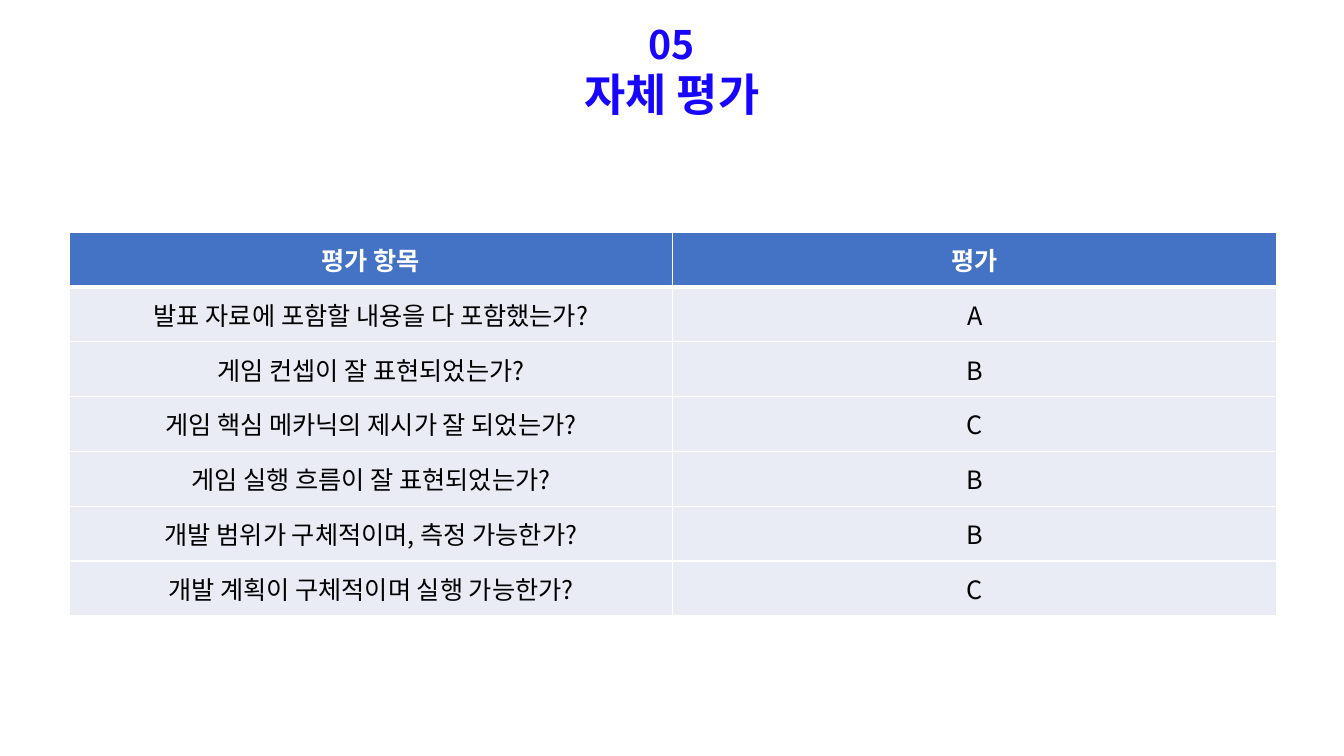
"""Build the self-evaluation slide: a two-line heading above a table of graded questions."""
from lxml import etree
from pptx import Presentation
from pptx import util as u
from pptx.dml.color import RGBColor
from pptx.enum import text
from pptx.oxml import ns

FONT = "Noto Sans CJK KR"
COLORS = {"heading": "1705FF", "header": "4472C4", "body": "E9EBF5",
          "white": "FFFFFF", "black": "000000"}


def style(paragraph, size, color, bold):
    """Centre a paragraph and set its font for Latin and Korean text."""
    paragraph.alignment = text.PP_ALIGN.CENTER
    font = paragraph.font
    font.size, font.bold, font.name = u.Pt(size), bold, FONT
    font.color.rgb = RGBColor.from_string(COLORS[color])
    defaults = paragraph._p.xpath("a:pPr/a:defRPr")[0]
    etree.SubElement(defaults, ns.qn("a:ea"), typeface=FONT)


def add_borders(cell, widths):
    """Draw white cell borders, given widths in points by side."""
    properties = cell._tc.get_or_add_tcPr()
    for index, (side, width) in enumerate(widths.items()):
        line = etree.Element(ns.qn(f"a:ln{side}"), w=str(u.Pt(width)))
        fill = etree.SubElement(line, ns.qn("a:solidFill"))
        etree.SubElement(fill, ns.qn("a:srgbClr"), val=COLORS["white"])
        properties.insert(index, line)


prs = Presentation()
prs.slide_width, prs.slide_height = u.Cm(33.87), u.Cm(19.05)
slide = prs.slides.add_slide(prs.slide_layouts[6])

evaluations = [
    ("평가 항목", "평가"),
    ("발표 자료에 포함할 내용을 다 포함했는가?", "A"),
    ("게임 컨셉이 잘 표현되었는가?", "B"),
    ("게임 핵심 메카닉의 제시가 잘 되었는가?", "C"),
    ("게임 실행 흐름이 잘 표현되었는가?", "B"),
    ("개발 범위가 구체적이며, 측정 가능한가?", "B"),
    ("개발 계획이 구체적이며 실행 가능한가?", "C"),
]
grades = slide.shapes.add_table(
    len(evaluations), 2, u.Cm(1.74), u.Cm(5.85), u.Cm(30.43), u.Cm(9.67)).table
for row, entries in enumerate(evaluations):
    is_header = row == 0
    for column, entry in enumerate(entries):
        cell = grades.cell(row, column)
        cell.text = entry
        cell.vertical_anchor = text.MSO_ANCHOR.MIDDLE
        cell.fill.solid()
        cell.fill.fore_color.rgb = RGBColor.from_string(
            COLORS["header" if is_header else "body"])
        style(cell.text_frame.paragraphs[0], 18,
              "white" if is_header else "black", is_header)
        add_borders(cell, {"L": 1, "R": 1, "T": 3 if row == 1 else 1,
                           "B": 3 if is_header else 1})

heading = slide.shapes.add_textbox(0, u.Cm(0.38), prs.slide_width, u.Cm(2.82)).text_frame
heading.word_wrap = True
heading.auto_size = text.MSO_AUTO_SIZE.SHAPE_TO_FIT_TEXT
heading.text = "05\n자체 평가"
for paragraph, size in zip(heading.paragraphs, (28, 32)):
    style(paragraph, size, "heading", True)

prs.save("out.pptx")
